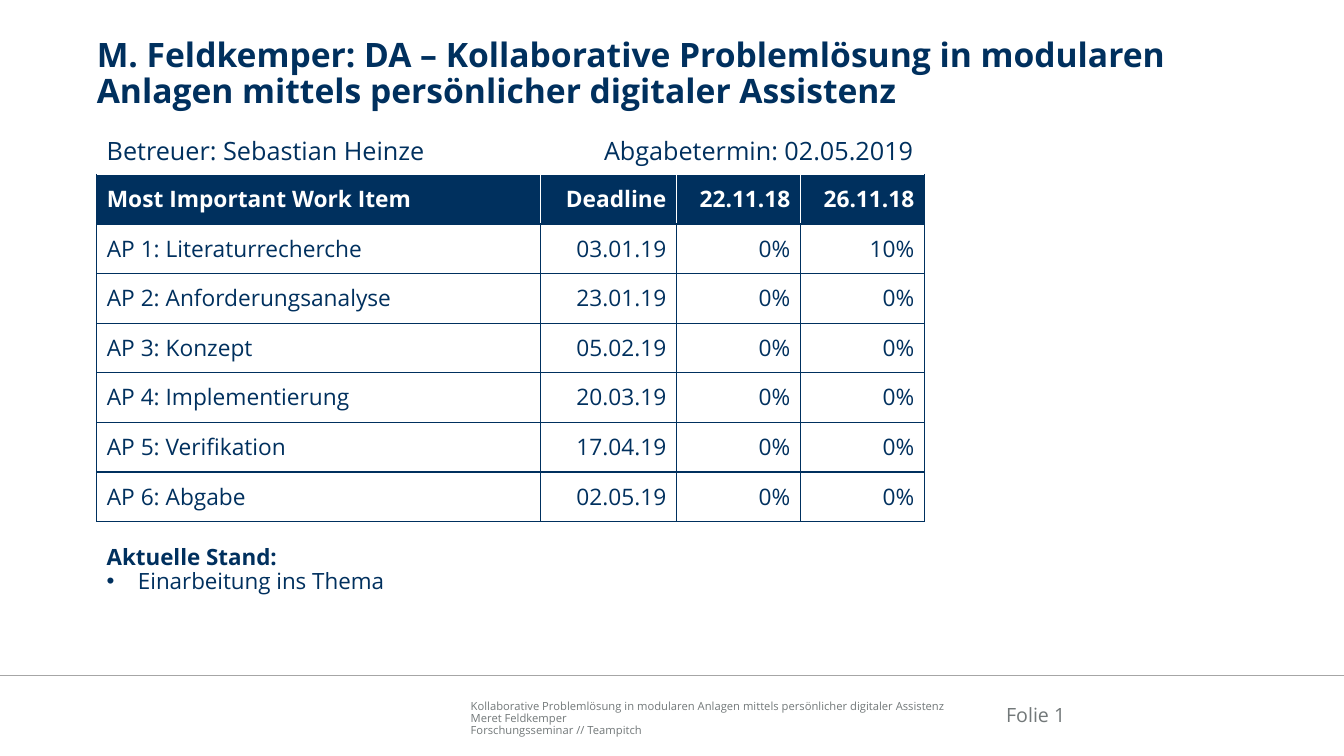
from lxml.etree import SubElement as Sub
from pptx import Presentation
from pptx.dml.color import RGBColor as Color
from pptx.enum.shapes import MSO_CONNECTOR as Conn
from pptx.enum.text import MSO_ANCHOR as Anchor, MSO_AUTO_SIZE as Auto, PP_ALIGN as Align
from pptx.oxml.ns import qn
from pptx.util import Inches, Pt

NAVY = Color(0x00, 0x30, 0x5E)
WHITE = Color(0xFF, 0xFF, 0xFF)
GREY = Color(0x72, 0x78, 0x79)
RULE = Color(0xA6, 0xA6, 0xA6)
FONT = "Open Sans"
COLS, ROWS = 40, 30
LEFT, WIDE = 2.88, 24.6

TITLE = ("M. Feldkemper: DA – Kollaborative Problemlösung in modularen "
         "Anlagen mittels persönlicher digitaler Assistenz")
FOOTER = ("Kollaborative Problemlösung in modularen Anlagen mittels persönlicher digitaler Assistenz",
          "Meret Feldkemper", "Forschungsseminar // Teampitch")
ITEMS = (
    ("Most Important Work Item", "Deadline", "22.11.18", "26.11.18"),
    ("AP 1: Literaturrecherche", "03.01.19", "0%", "10%"),
    ("AP 2: Anforderungsanalyse", "23.01.19", "0%", "0%"),
    ("AP 3: Konzept", "05.02.19", "0%", "0%"),
    ("AP 4: Implementierung", "20.03.19", "0%", "0%"),
    ("AP 5: Verifikation", "17.04.19", "0%", "0%"),
    ("AP 6: Abgabe", "02.05.19", "0%", "0%"),
)


class Page:
    """Draws styled elements on one slide, measured in grid columns and rows."""

    def __init__(self, deck):
        self.wide, self.high = deck.slide_width, deck.slide_height
        self.slide = deck.slides.add_slide(deck.slide_layouts[5])
        self.shapes = self.slide.shapes

    def x(self, cols):
        return int(self.wide * cols / COLS)

    def y(self, rows):
        return int(self.high * rows / ROWS)

    def box(self, left, top, wide, high):
        return self.x(left), self.y(top), self.x(wide), self.y(high)

    def put(self, para, text, size, color=NAVY, bold=False, align=Align.LEFT):
        para.alignment = align
        para.line_spacing = 0.9
        para.space_before = Pt(0)
        run = para.add_run()
        run.text = text
        font = run.font
        font.name, font.size, font.bold = FONT, Pt(size), bold
        font.color.rgb = color

    def inset(self, frame, rows=0):
        frame.margin_left = frame.margin_right = frame.margin_top = 0
        frame.margin_bottom = self.y(rows)

    def title(self, text, *place):
        head = self.shapes.title
        head.left, head.top, head.width, head.height = self.box(*place)
        frame = head.text_frame
        frame.auto_size, frame.vertical_anchor = Auto.NONE, Anchor.TOP
        self.inset(frame)
        self.put(frame.paragraphs[0], text, 24, bold=True)

    def text(self, lines, size, *place, wrap=True, **style):
        frame = self.shapes.add_textbox(*self.box(*place)).text_frame
        frame.word_wrap = wrap
        for at, line in enumerate(lines):
            para = frame.add_paragraph() if at else frame.paragraphs[0]
            self.put(para, line, size, **style)
        return frame

    def footer(self, lines, size, *place, drop=0, **style):
        frame = self.text(lines, size, *place, color=GREY, **style)
        frame.vertical_anchor = Anchor.BOTTOM
        self.inset(frame, drop)

    def bullet(self, frame, text, size):
        para = frame.add_paragraph()
        self.put(para, text, size)
        props = para._p.get_or_add_pPr()
        props.set("marL", str(Inches(0.31)))
        props.set("indent", str(-Inches(0.31)))
        Sub(props, qn("a:buFont"), typeface="Arial")
        Sub(props, qn("a:buChar"), char="•")

    def rule(self, row):
        line = self.shapes.add_connector(Conn.STRAIGHT, 0, self.y(row), self.wide, self.y(row))
        line.line.color.rgb, line.line.width = RULE, Pt(1)
        Sub(line._element.spPr, qn("a:effectLst"))

    def edge(self, cell, side, color):
        line = Sub(cell._tc.get_or_add_tcPr(), qn("a:ln" + side), w=str(Pt(1)))
        fill = Sub(line, qn("a:solidFill"))
        Sub(fill, qn("a:srgbClr"), val=str(color))

    def table(self, items, left, top, widths, row):
        size = len(items), len(widths)
        place = self.box(left, top, sum(widths), row * len(items))
        table = self.shapes.add_table(*size, *place).table
        table.horz_banding = False
        for col, wide in zip(table.columns, widths):
            col.width = self.x(wide)
        last = len(widths) - 1
        for r, item in enumerate(items):
            table.rows[r].height = self.y(row)
            head = r == 0
            for c, text in enumerate(item):
                cell = table.cell(r, c)
                cell.vertical_anchor = Anchor.MIDDLE
                self.put(cell.text_frame.paragraphs[0], text, 16.2,
                         WHITE if head else NAVY, head, Align.RIGHT if c else Align.LEFT)
                self.edge(cell, "L", WHITE if head and c else NAVY)
                self.edge(cell, "R", WHITE if head and c < last else NAVY)
                self.edge(cell, "T", WHITE if head else NAVY)
                self.edge(cell, "B", NAVY)
                cell.fill.solid()
                cell.fill.fore_color.rgb = NAVY if head else WHITE


def main():
    deck = Presentation()
    deck.slide_width, deck.slide_height = Inches(13.33), Inches(7.5)
    page = Page(deck)
    page.footer(FOOTER, 8, 14.01, 27.64, 14.73, 1.6)
    page.rule(26.8)
    page.footer(["Folie 1"], 14, 28.74, 27.4, 2.97, 2, drop=0.56, align=Align.RIGHT)
    page.title(TITLE, LEFT, 1.52, 34.71, 3)
    page.table(ITEMS, LEFT, 6.92, (13.2, 4.05, 3.69, 3.69), 1.97)
    page.text(["Betreuer: Sebastian Heinze"], 18, LEFT, 5.32, 10.14, 1.6, wrap=False)
    page.text(["Abgabetermin: 02.05.2019"], 18, 17.61, 5.32, 9.87, 1.6,
              wrap=False, align=Align.RIGHT)
    state = page.text(["Aktuelle Stand:"], 16, LEFT, 21.48, WIDE, 2.56, bold=True)
    page.bullet(state, "Einarbeitung ins Thema", 16)
    deck.save("out.pptx")


if __name__ == "__main__":
    main()
